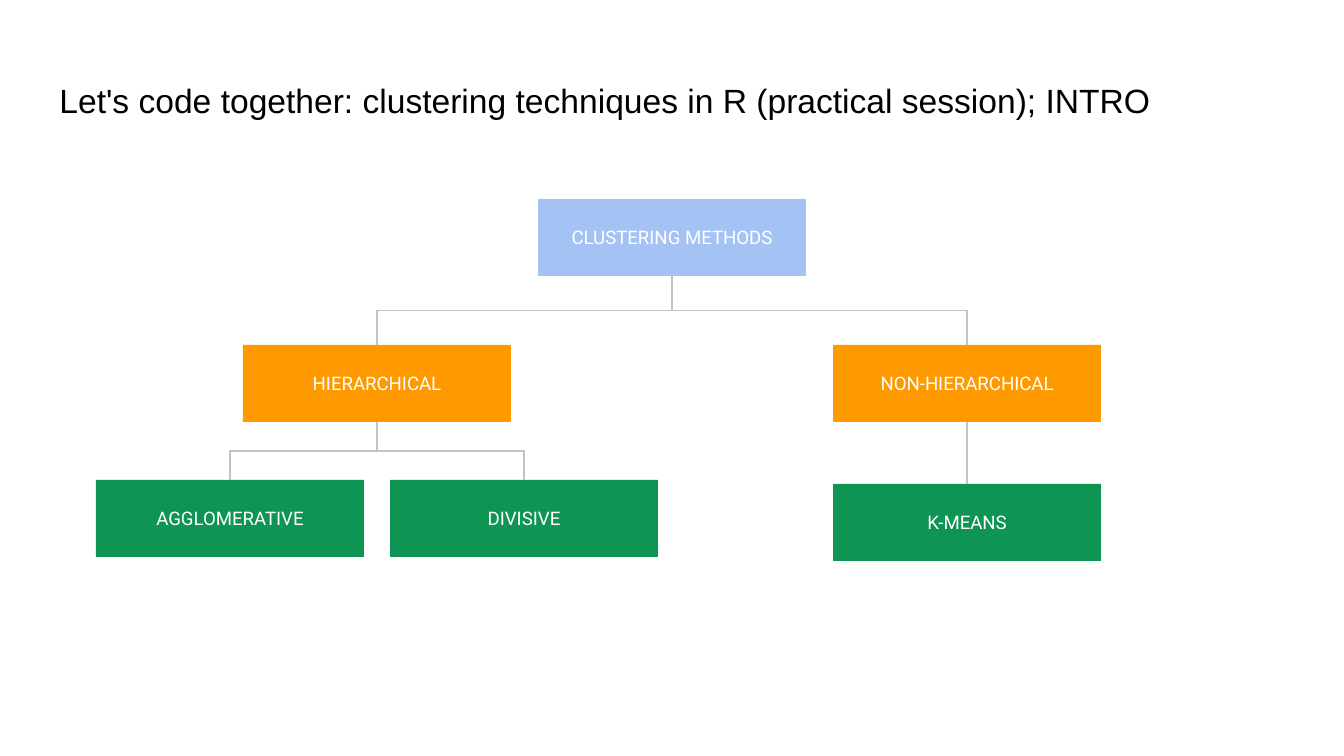
import pptx
import pptx.util
import pptx.dml.color
import pptx.enum.shapes
import pptx.enum.text
import lxml.etree

TITLE = "Let's code together: clustering techniques in R (practical session); INTRO"
BLUE, ORANGE, GREEN, GREY = "A4C2F4", "FF9900", "0E9453", "C2C2C2"
BOX_W, BOX_H = 268, 77

# name, left, top, fill, parent
NODES = [
    ("CLUSTERING METHODS", 538, 199, BLUE, None),
    ("HIERARCHICAL", 243, 345, ORANGE, "CLUSTERING METHODS"),
    ("NON-HIERARCHICAL", 833, 345, ORANGE, "CLUSTERING METHODS"),
    ("AGGLOMERATIVE", 96, 480, GREEN, "HIERARCHICAL"),
    ("DIVISIVE", 390, 480, GREEN, "HIERARCHICAL"),
    ("K-MEANS", 833, 484, GREEN, "NON-HIERARCHICAL"),
]

SCALE = 914400 / 134.4
ANCHOR = pptx.enum.text.MSO_ANCHOR
ALIGN = pptx.enum.text.PP_ALIGN
KIND = pptx.enum.shapes.MSO_CONNECTOR


def px(n):
    return pptx.util.Emu(round(n * SCALE))


def color(code):
    return pptx.dml.color.RGBColor.from_string(code)


def write(shape, text, size, font, code, align, anchor):
    frame = shape.text_frame
    frame.word_wrap = True
    frame.auto_size = pptx.enum.text.MSO_AUTO_SIZE.NONE
    frame.vertical_anchor = anchor
    frame.margin_left = frame.margin_right = pptx.util.Inches(0.1)
    frame.margin_top = frame.margin_bottom = pptx.util.Inches(0.1)
    para = frame.paragraphs[0]
    para.alignment = align
    run = para.add_run()
    run.text = text
    run.font.size = pptx.util.Pt(size)
    run.font.name = font
    run.font.color.rgb = color(code)


def add_box(slide, name, left, top, fill):
    box = slide.shapes.add_shape(pptx.enum.shapes.MSO_SHAPE.RECTANGLE,
                                 px(left), px(top), px(BOX_W), px(BOX_H))
    box.shadow.inherit = False
    box.fill.solid()
    box.fill.fore_color.rgb = color(fill)
    box.line.fill.background()
    write(box, name, 10, "Roboto", "FFFFFF", ALIGN.CENTER, ANCHOR.MIDDLE)
    return box


def add_link(slide, upper, lower):
    across = lower.left - upper.left
    kind = KIND.ELBOW if across else KIND.STRAIGHT
    link = slide.shapes.add_connector(kind, 0, 0, 0, 0)
    link.begin_connect(upper, 2)
    link.end_connect(lower, 0)
    link.line.color.rgb = color(GREY)
    link.line.width = pptx.util.Pt(0.75)
    props = link._element.spPr
    lxml.etree.SubElement(props, pptx.oxml.ns.qn("a:effectLst"))
    if across:
        # A quarter turn makes the elbow leave downwards
        start = upper.top + upper.height
        drop, wide = lower.top - start, abs(across)
        mid = upper.left + upper.width // 2 + across // 2
        link.left = mid - drop // 2
        link.top = start + drop // 2 - wide // 2
        link.width, link.height = drop, wide
        props.xfrm.flipH = across > 0
        props.xfrm.rot = 270 if across > 0 else 90


def main():
    deck = pptx.Presentation()
    deck.slide_width, deck.slide_height = px(1344), px(756)
    slide = deck.slides.add_slide(deck.slide_layouts[5])

    # Title
    title = slide.shapes.title
    title.left, title.top = px(46), px(66)
    title.width, title.height = px(1252), px(84)
    write(title, TITLE, 18, "Arial", "000000", ALIGN.LEFT, ANCHOR.TOP)

    # Tree: boxes, then links from parent to child
    boxes = {name: add_box(slide, name, left, top, fill)
             for name, left, top, fill, _ in NODES}
    for name, *_, parent in NODES:
        if parent:
            add_link(slide, boxes[parent], boxes[name])

    deck.save("out.pptx")


if __name__ == "__main__":
    main()
